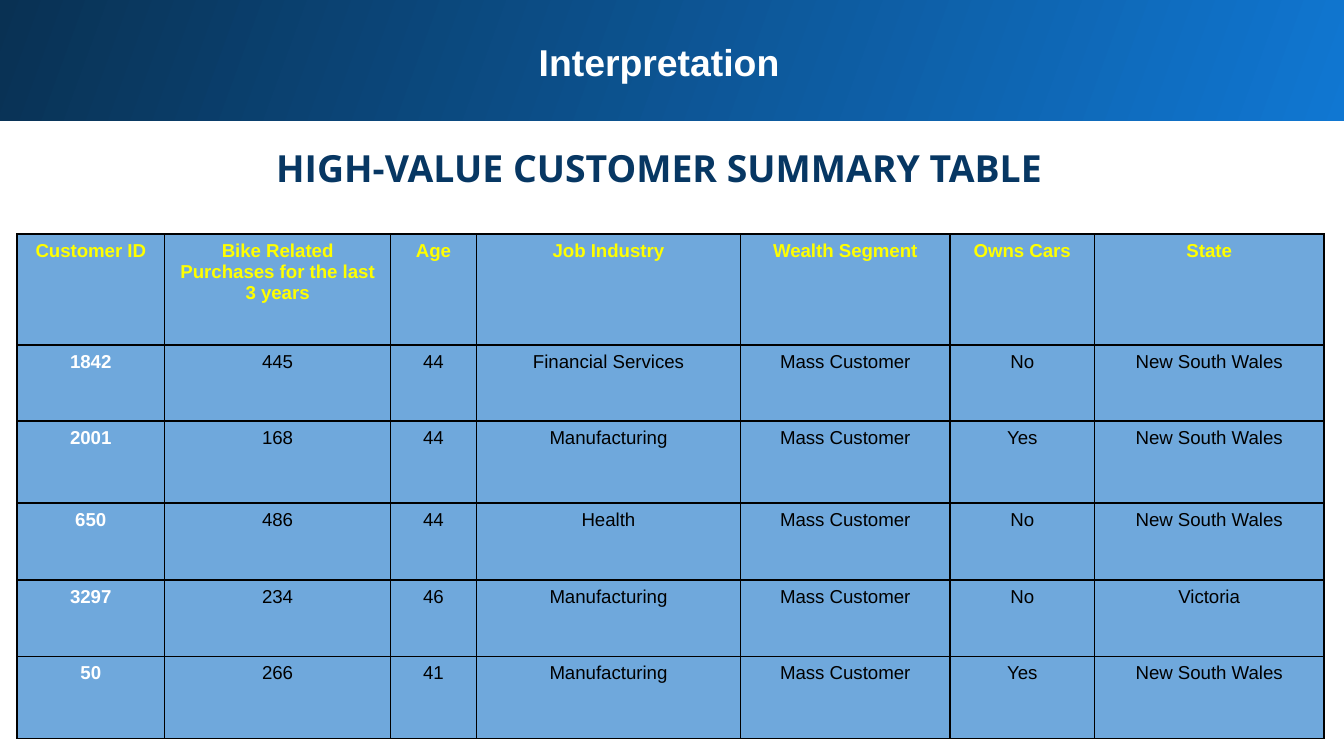
from pptx import Presentation
from pptx.dml.color import RGBColor
from pptx.enum.shapes import MSO_SHAPE as Shape
from pptx.enum.text import PP_ALIGN as Align
from pptx.oxml import parse_xml
from pptx.oxml.ns import nsdecls
from pptx.util import Inches, Pt

WHITE = RGBColor(0xFF, 0xFF, 0xFF)
BLACK = RGBColor(0x00, 0x00, 0x00)
YELLOW = RGBColor(0xFF, 0xFF, 0x00)
NAVY = RGBColor(0x07, 0x37, 0x63)
SKY = RGBColor(0x6F, 0xA8, 0xDC)
BRIGHT_BLUE = RGBColor(0x10, 0x77, 0xD2)
DEEP_BLUE = RGBColor(0x09, 0x31, 0x53)

GRID_COLUMNS, GRID_ROWS = 100, 56.25
COLUMN_SPANS = (11, 16.8, 6.4, 19.64, 15.6, 10.75, 17.07)
ROW_SPANS = (8.25, 5.7, 6.1, 5.7, 5.7, 6.1)
CUSTOMERS = (
    ("Customer ID", "Bike Related Purchases for the last 3 years", "Age",
     "Job Industry", "Wealth Segment", "Owns Cars", "State"),
    ("1842", "445", "44", "Financial Services", "Mass Customer", "No", "New South Wales"),
    ("2001", "168", "44", "Manufacturing", "Mass Customer", "Yes", "New South Wales"),
    ("650", "486", "44", "Health", "Mass Customer", "No", "New South Wales"),
    ("3297", "234", "46", "Manufacturing", "Mass Customer", "No", "Victoria"),
    ("50", "266", "41", "Manufacturing", "Mass Customer", "Yes", "New South Wales"),
)


class SlideBuilder:
    """Draws styled elements on a slide, measured in tenth-of-an-inch grid cells."""

    cell = Inches(0.1)
    heading = {"size": Pt(20), "bold": True}
    body = {"size": Pt(10), "name": "Arial"}

    def __init__(self, deck):
        self.page = deck.slides.add_slide(deck.slide_layouts[6])

    def units(self, *spans):
        return [round(span * self.cell) for span in spans]

    def centred_text(self, frame, text, color, **formats):
        para = frame.paragraphs[0]
        para.alignment = Align.CENTER
        span = para.add_run()
        span.text = text
        for name, value in formats.items():
            setattr(span.font, name, value)
        span.font.color.rgb = color
        return para

    def banner(self, area, colors, angle):
        box = self.page.shapes.add_shape(Shape.RECTANGLE, *self.units(*area))
        box.shadow.inherit = False
        box.line.fill.background()
        box.fill.gradient()
        box.fill.gradient_angle = angle
        for stop, color in zip(box.fill.gradient_stops, colors):
            stop.color.rgb = color

    def title(self, area, text, color, font, spacing=1.0):
        frame = self.page.shapes.add_textbox(*self.units(*area)).text_frame
        frame.word_wrap = True
        for side in ("left", "top", "right", "bottom"):
            setattr(frame, f"margin_{side}", self.cell)
        para = self.centred_text(frame, text, color, name=font, **self.heading)
        para.line_spacing = spacing

    def borders(self, cell, color, width):
        properties = cell._tc.get_or_add_tcPr()
        for side in "LRTB":
            properties.append(parse_xml(
                f'<a:ln{side} {nsdecls("a")} w="{width}"><a:solidFill>'
                f'<a:srgbClr val="{color}"/></a:solidFill></a:ln{side}>'))

    def table(self, left, top, column_spans, row_spans, records):
        area = self.units(left, top, sum(column_spans), sum(row_spans))
        table = self.page.shapes.add_table(
            len(row_spans), len(column_spans), *area).table
        for column, width in zip(table.columns, self.units(*column_spans)):
            column.width = width
        for row, height in zip(table.rows, self.units(*row_spans)):
            row.height = height
        for row_index, record in enumerate(records):
            for column_index, text in enumerate(record):
                cell = table.cell(row_index, column_index)
                self.borders(cell, BLACK, Pt(1))
                cell.fill.solid()
                cell.fill.fore_color.rgb = SKY
                is_header, is_key = row_index == 0, column_index == 0
                color = YELLOW if is_header else WHITE if is_key else BLACK
                self.centred_text(cell.text_frame, text, color,
                                  bold=is_header or is_key, **self.body)


def main():
    deck = Presentation()
    deck.slide_width = GRID_COLUMNS * SlideBuilder.cell
    deck.slide_height = round(GRID_ROWS * SlideBuilder.cell)
    builder = SlideBuilder(deck)
    builder.banner((-0.2, -0.2, 100.5, 9.2), (BRIGHT_BLUE, DEEP_BLUE), 160)
    builder.title((2.2, 1.9, 93.7, 6.4), "Interpretation", WHITE, "Arial")
    builder.title((2.2, 9.3, 93.7, 5.6), "HIGH-VALUE CUSTOMER SUMMARY TABLE",
                  NAVY, "Open Sans", 1.15)
    builder.table(1.25, 17.4, COLUMN_SPANS, ROW_SPANS, CUSTOMERS)
    deck.save("out.pptx")


if __name__ == "__main__":
    main()
